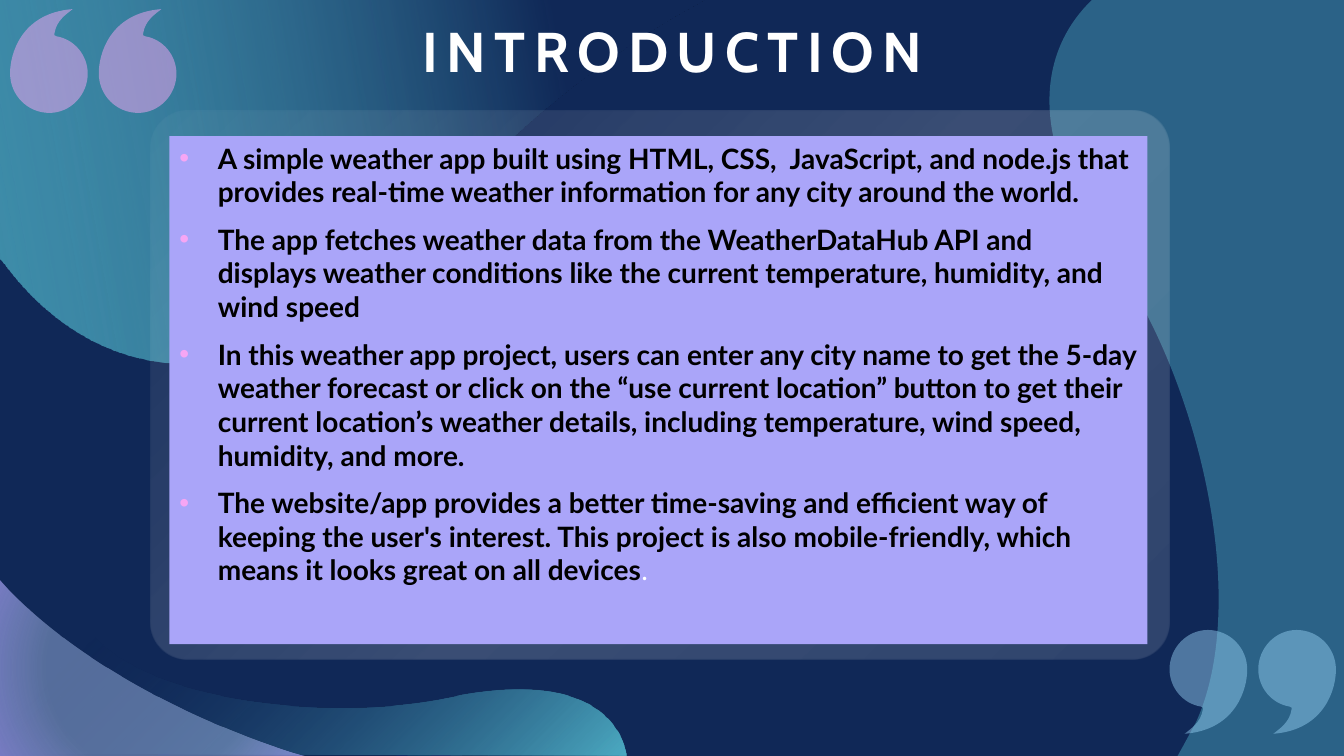
from lxml.etree import SubElement
from pptx import Presentation
from pptx.dml.color import RGBColor
from pptx.enum.shapes import MSO_SHAPE
from pptx.enum.text import MSO_ANCHOR, MSO_AUTO_SIZE, PP_ALIGN
from pptx.oxml.ns import qn
from pptx.util import Inches, Pt

# Content
TITLE = "INTRODUCTION"
BULLETS = [
    ["A simple weather app built using HTML, CSS,  JavaScript, and node.js that provides "
     "real-time weather information for any city around the world."],
    ["The app fetches weather data from the WeatherDataHub API and displays weather "
     "conditions like the current temperature, humidity, and wind speed"],
    ["In this weather app project, users can enter any city name to get the 5-day weather "
     "forecast or click on the “use current location” button to get their current "
     "location’s weather details, including temperature, wind speed, humidity, and more."],
    ["The website/app provides a better time-saving and efficient way of keeping the "
     "user's interest. This project is also mobile-friendly, which means it looks great "
     "on all devices", "."],
]

NAVY, CYAN, LILAC, PINK = "102857", "64DFED", "AAA5F9", "F6A6F4"
SKY, MIST, WHITE, BLACK = "92CDF0", "ABC3F0", "FFFFFF", "000000"
CORNER, CENTRE = (100, 100, 0, 0), (50, 50, 50, 50)

# Box (left, top, width, height) and outline on the slide, in inches:
# two numbers are a line end, six are a curve
BOTTOM_WAVE = (0, 5.31, 6.21, 2.19), [
    (0.35, 5.31), (0.41, 5.48), (0.55, 5.84, 0.75, 6.13, 0.98, 6.36),
    (1.59, 6.97, 3.32, 7.16, 4.43, 6.92), (5.57, 6.67, 6.11, 7, 6.21, 7.48),
    (6.21, 7.5), (0, 7.48), (0, 7.44)]
TOP_WAVE = (0, 0, 6.99, 3.61), [
    (0, 0), (6.99, 0), (6.6, 0.22), (5.73, 0.76, 4.96, 1.41, 4.42, 2.06),
    (2.69, 4.2, 0.96, 3.85, 0.05, 2.63), (0, 2.57)]
RIGHT_WAVE = (10.41, 0, 2.92, 7.5), [
    (13.33, 0), (13.33, 7.5), (11.68, 7.5), (11.73, 7.41),
    (11.78, 7.32, 11.82, 7.24, 11.86, 7.17), (12.42, 5.95, 11.87, 3.69, 11, 2.51),
    (10.18, 1.38, 10.3, 0.51, 10.83, 0)]
CORNER_WAVE = (0, 5.75, 3.03, 1.75), [
    (0, 5.75), (0.1, 5.86), (0.77, 6.55, 1.83, 7.12, 2.89, 7.46),
    (3.03, 7.5), (0, 7.5), (0, 6.63)]
QUOTE_WIDTH, QUOTE_HEIGHT = 0.77, 1.03
QUOTE = [(0.38, 0), (0.6, 0, 0.77, 0.18, 0.77, 0.39), (0.77, 0.4),
         (0.77, 0.57, 0.67, 0.99, 0.15, 1.03), (0.21, 0.98, 0.31, 0.92, 0.33, 0.79),
         (0.33, 0.77), (0.31, 0.76), (0.13, 0.73, 0, 0.57, 0, 0.39),
         (0, 0.18, 0.17, 0, 0.38, 0)]

# Stops are position, colour, opacity; the last item is an angle or a focus rectangle
BOTTOM_FILL = [(0, CYAN, 71), (77, NAVY, 0)], CORNER
TOP_FILL = [(20, NAVY, 100), (100, CYAN, 54)], 170
PANEL_FILL = [(6, WHITE, 13), (47, WHITE, 17), (100, WHITE, 3)], CORNER
CORNER_FILL = [(60, MIST, 45), (99, LILAC, 67)], CENTRE
# Left edges, top, colour, opacity, rotation of each quote pair
QUOTE_PAIRS = [((0.1, 0.98), 0.09, PINK, 50, 180), ((12.48, 11.6), 6.25, SKY, 48, 0)]


def rgb(colour):
    return RGBColor.from_string(colour)


def add_alpha(node, opacity):
    SubElement(node, qn("a:alpha"), val=str(opacity * 1000))


def fill_solid(shape, colour, opacity):
    shape.fill.solid()
    shape.fill.fore_color.rgb = rgb(colour)
    add_alpha(shape._element.spPr.find(qn("a:solidFill"))[0], opacity)


def fill_gradient(shape, stops, direction):
    shape.fill.gradient()
    gradient = shape._element.spPr.find(qn("a:gradFill"))
    for child in list(gradient):
        gradient.remove(child)
    stop_list = SubElement(gradient, qn("a:gsLst"))
    for position, colour, opacity in stops:
        stop = SubElement(stop_list, qn("a:gs"), pos=str(position * 1000))
        add_alpha(SubElement(stop, qn("a:srgbClr"), val=colour), opacity)
    if isinstance(direction, tuple):
        focus = SubElement(gradient, qn("a:path"), path="circle")
        sides = {side: str(value * 1000) for side, value in zip("ltrb", direction)}
        SubElement(focus, qn("a:fillToRect"), sides)
    else:
        SubElement(gradient, qn("a:lin"), ang=str(direction * 60000), scaled="0")


def add_outline(shapes, box, segments):
    """Draw a freeform that fills the box, then give it true curves."""
    left, top, width, height = [Inches(value) for value in box]
    builder = shapes.build_freeform(left, top)
    builder.add_line_segments([(left + width, top), (left + width, top + height),
                               (left, top + height)])
    shape = builder.convert_to_shape()
    shape.shadow.inherit = False
    shape.line.fill.background()
    outline = next(shape._element.iter(qn("a:path")))
    for child in list(outline):
        outline.remove(child)
    for index, segment in enumerate(segments):
        kind = "cubicBezTo" if len(segment) == 6 else "lnTo" if index else "moveTo"
        command = SubElement(outline, qn(f"a:{kind}"))
        for x, y in zip(segment[::2], segment[1::2]):
            SubElement(command, qn("a:pt"), x=str(Inches(x) - left), y=str(Inches(y) - top))
    SubElement(outline, qn("a:close"))
    return shape


def place(shape, left, top, width, height):
    shape.left, shape.top = Inches(left), Inches(top)
    shape.width, shape.height = Inches(width), Inches(height)


def style(run, font, size, colour, bold):
    run.font.name, run.font.size, run.font.bold = font, Pt(size), bold
    run.font.color.rgb = rgb(colour)


def add_background(slide):
    slide.background.fill.solid()
    slide.background.fill.fore_color.rgb = rgb(NAVY)
    fill_gradient(add_outline(slide.shapes, *BOTTOM_WAVE), *BOTTOM_FILL)
    fill_gradient(add_outline(slide.shapes, *TOP_WAVE), *TOP_FILL)
    fill_solid(add_outline(slide.shapes, *RIGHT_WAVE), CYAN, 32)
    panel = slide.shapes.add_shape(MSO_SHAPE.ROUNDED_RECTANGLE, Inches(1.49), Inches(1.1),
                                   Inches(10.11), Inches(5.44))
    panel.adjustments[0] = 0.068
    panel.shadow.inherit = False
    panel.line.fill.background()
    fill_gradient(panel, *PANEL_FILL)
    fill_gradient(add_outline(slide.shapes, *CORNER_WAVE), *CORNER_FILL)


def add_title(title):
    place(title, 2.44, 0.09, 8.46, 0.8)
    frame = title.text_frame
    frame.text = TITLE
    frame.auto_size = MSO_AUTO_SIZE.NONE
    frame.vertical_anchor = MSO_ANCHOR.BOTTOM
    paragraph = frame.paragraphs[0]
    paragraph.alignment, paragraph.line_spacing = PP_ALIGN.CENTER, 0.9
    run = paragraph.runs[0]
    style(run, "Cabin", 40, WHITE, True)
    run.font._element.set("spc", "600")


def add_body(body):
    place(body, 1.68, 1.35, 9.7, 5.04)
    body.fill.solid()
    body.fill.fore_color.rgb = rgb(LILAC)
    frame = body.text_frame
    frame.auto_size = MSO_AUTO_SIZE.NONE
    frame.vertical_anchor = MSO_ANCHOR.TOP
    for index, parts in enumerate(BULLETS):
        paragraph = frame.add_paragraph() if index else frame.paragraphs[0]
        paragraph.alignment = PP_ALIGN.LEFT
        paragraph.line_spacing = 1.0
        paragraph.space_before = Pt(10)
        for part, colour, bold in zip(parts, (BLACK, WHITE), (True, False)):
            run = paragraph.add_run()
            run.text = part
            style(run, "Lato", 20, colour, bold)
        properties = paragraph._p.get_or_add_pPr()
        properties.set("marL", str(Inches(0.38)))
        properties.set("indent", str(-Inches(0.38)))
        bullet_colour = SubElement(properties, qn("a:buClr"))
        SubElement(bullet_colour, qn("a:srgbClr"), val=PINK)
        SubElement(properties, qn("a:buFont"), typeface="Arial")
        SubElement(properties, qn("a:buChar"), char="•")


def add_quotes(slide):
    for lefts, top, colour, opacity, rotation in QUOTE_PAIRS:
        pair = slide.shapes.add_group_shape()
        for left in lefts:
            segments = [[value + (top if index % 2 else left)
                         for index, value in enumerate(segment)] for segment in QUOTE]
            box = (left, top, QUOTE_WIDTH, QUOTE_HEIGHT)
            mark = add_outline(pair.shapes, box, segments)
            mark.rotation = rotation
            fill_solid(mark, colour, opacity)


def main():
    presentation = Presentation()
    presentation.slide_width, presentation.slide_height = Inches(13.33), Inches(7.5)
    slide = presentation.slides.add_slide(presentation.slide_layouts[0])
    title, body = slide.placeholders
    add_background(slide)
    # Bring the text in front of the background
    for placeholder in (title, body):
        slide.shapes._spTree.append(placeholder._element)
    add_title(title)
    add_body(body)
    add_quotes(slide)
    presentation.save("out.pptx")


if __name__ == "__main__":
    main()
